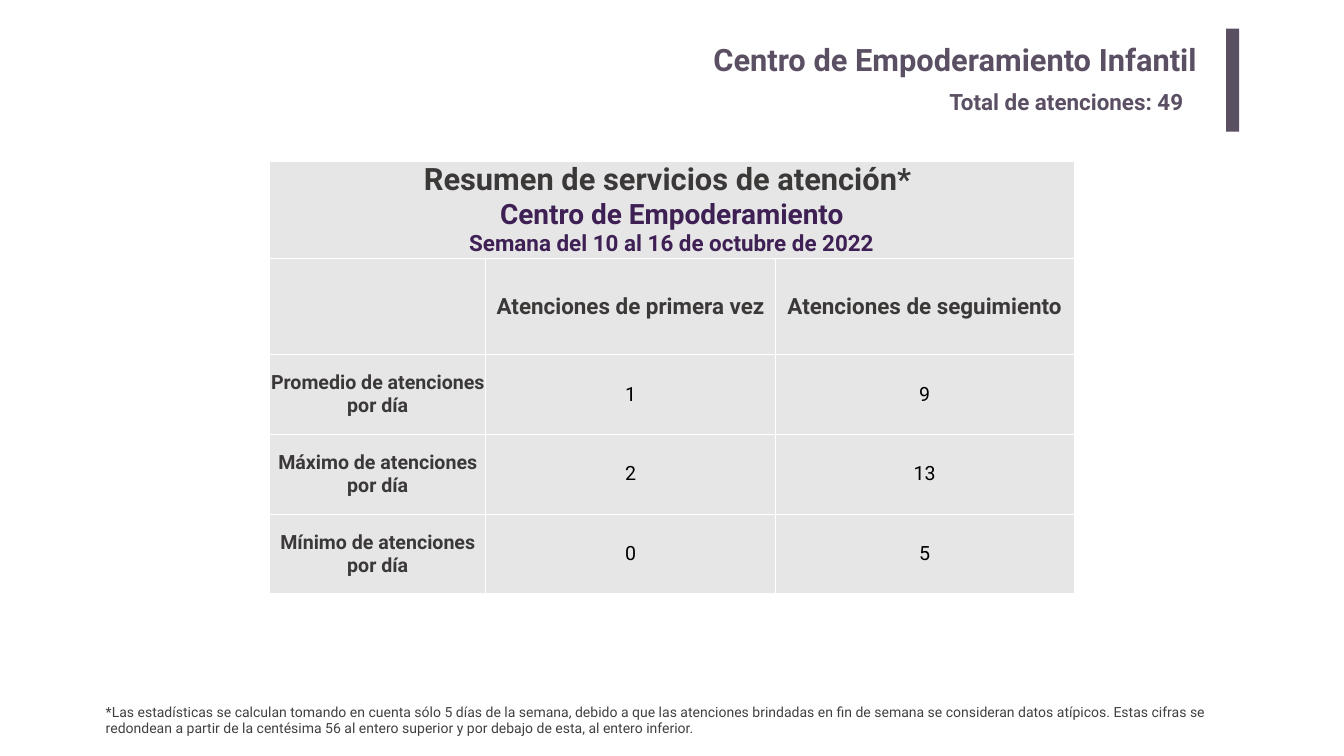
from pptx import Presentation
from pptx.dml.color import RGBColor
from pptx.enum.shapes import MSO_SHAPE
from pptx.enum.text import MSO_ANCHOR, PP_ALIGN
from pptx.oxml import parse_xml
from pptx.oxml.ns import nsdecls
from pptx.util import Inches, Pt

FONT = "Roboto"
MAUVE, PURPLE, CHARCOAL = "5B4F63", "3E2054", "3B3838"
GRAY, LIGHT_GRAY, BLACK, WHITE = "404040", "E7E6E6", "000000", "FFFFFF"

COLUMN_WIDTHS = [4.29, 5.75, 5.92]
ROW_HEIGHTS = [1.92, 1.92, 1.58, 1.58, 1.58]
HEADING = [
    ("Resumen de servicios de atención* ", 44, CHARCOAL),
    ("Centro de Empoderamiento", 40, PURPLE),
    ("Semana del 10 al 16 de octubre de 2022", 32, PURPLE),
]
COLUMN_LABELS = ["Atenciones de primera vez", "Atenciones de seguimiento"]
DAILY_FIGURES = [
    ("Promedio de atenciones por día", 1, 9),
    ("Máximo de atenciones por día", 2, 13),
    ("Mínimo de atenciones por día", 0, 5),
]
FOOTNOTE = (
    "*Las estadísticas se calculan tomando en cuenta sólo 5 días de la semana, "
    "debido a que las atenciones brindadas en fin de semana se consideran datos "
    "atípicos. Estas cifras se redondean a partir de la centésima 56 al entero "
    "superior y por debajo de esta, al entero inferior."
)


def color(value):
    return RGBColor.from_string(value)


def write(paragraph, text, size=28, fill=CHARCOAL, bold=False, align=PP_ALIGN.LEFT):
    paragraph.alignment = align
    run = paragraph.add_run()
    run.text = text
    run.font.name = FONT
    run.font.size = Pt(size)
    run.font.bold = bold
    run.font.color.rgb = color(fill)


def set_margins(target, horizontal, vertical):
    target.margin_left = target.margin_right = Inches(horizontal)
    target.margin_top = target.margin_bottom = Inches(vertical)


def add_title(slide, text):
    title = slide.shapes.title
    title.left, title.top = Inches(3.66), Inches(0.67)
    title.width, title.height = Inches(20.3), Inches(1.02)
    frame = title.text_frame
    frame.vertical_anchor = MSO_ANCHOR.MIDDLE
    set_margins(frame, 0.2, 0.1)
    write(frame.paragraphs[0], text, size=44, fill=MAUVE, bold=True, align=PP_ALIGN.RIGHT)


def add_text(slide, left, top, width, height, text, **text_format):
    box = slide.shapes.add_textbox(Inches(left), Inches(top), Inches(width), Inches(height))
    box.text_frame.word_wrap = True
    write(box.text_frame.paragraphs[0], text, **text_format)


def add_bar(slide, left, top, width, height):
    bar = slide.shapes.add_shape(
        MSO_SHAPE.RECTANGLE, Inches(left), Inches(top), Inches(width), Inches(height))
    bar.shadow.inherit = False
    bar.fill.solid()
    bar.fill.fore_color.rgb = color(MAUVE)
    bar.line.fill.background()


def style_cell(cell):
    # Borders come before the fill in the cell properties
    properties = cell._tc.get_or_add_tcPr()
    for side in ("lnL", "lnR", "lnT", "lnB"):
        properties.append(parse_xml(
            f'<a:{side} {nsdecls("a")} w="12700"><a:solidFill>'
            f'<a:srgbClr val="{WHITE}"/></a:solidFill></a:{side}>'))
    cell.fill.solid()
    cell.fill.fore_color.rgb = color(LIGHT_GRAY)
    cell.vertical_anchor = MSO_ANCHOR.MIDDLE
    set_margins(cell, 0, 0)


def write_cell(cell, text, **text_format):
    write(cell.text_frame.paragraphs[0], text, align=PP_ALIGN.CENTER, **text_format)


def add_summary_table(slide, left, top):
    table = slide.shapes.add_table(
        len(ROW_HEIGHTS), len(COLUMN_WIDTHS), Inches(left), Inches(top),
        Inches(sum(COLUMN_WIDTHS)), Inches(sum(ROW_HEIGHTS))).table
    table.horz_banding = False
    for column, width in zip(table.columns, COLUMN_WIDTHS):
        column.width = Inches(width)
    for row, height in zip(table.rows, ROW_HEIGHTS):
        row.height = Inches(height)
    for cell in table.iter_cells():
        style_cell(cell)

    # Heading across all columns
    heading = table.cell(0, 0)
    heading.merge(table.cell(0, len(COLUMN_WIDTHS) - 1))
    frame = heading.text_frame
    for index, (text, size, fill) in enumerate(HEADING):
        paragraph = frame.add_paragraph() if index else frame.paragraphs[0]
        write(paragraph, text, size=size, fill=fill, bold=True, align=PP_ALIGN.CENTER)

    # Column labels and daily figures
    for column, label in enumerate(COLUMN_LABELS, start=1):
        write_cell(table.cell(1, column), label, size=32, bold=True)
    for row, (label, *figures) in enumerate(DAILY_FIGURES, start=2):
        write_cell(table.cell(row, 0), label, bold=True)
        for column, figure in enumerate(figures, start=1):
            write_cell(table.cell(row, column), str(figure), fill=BLACK)


def main():
    presentation = Presentation()
    presentation.slide_width = Inches(26.67)
    presentation.slide_height = Inches(15)
    slide = presentation.slides.add_slide(presentation.slide_layouts[5])

    # Summary
    add_summary_table(slide, 5.35, 3.2)

    # Page heading
    add_title(slide, "Centro de Empoderamiento Infantil")
    add_bar(slide, 24.33, 0.57, 0.26, 2.04)
    add_text(slide, 18.74, 1.69, 5.28, 0.64, "Total de atenciones: 49",
             size=32, fill=MAUVE, bold=True)

    # Footnote
    add_text(slide, 2, 13.9, 22.33, 0.77, FOOTNOTE, size=20, fill=GRAY)

    presentation.save("out.pptx")


if __name__ == "__main__":
    main()
